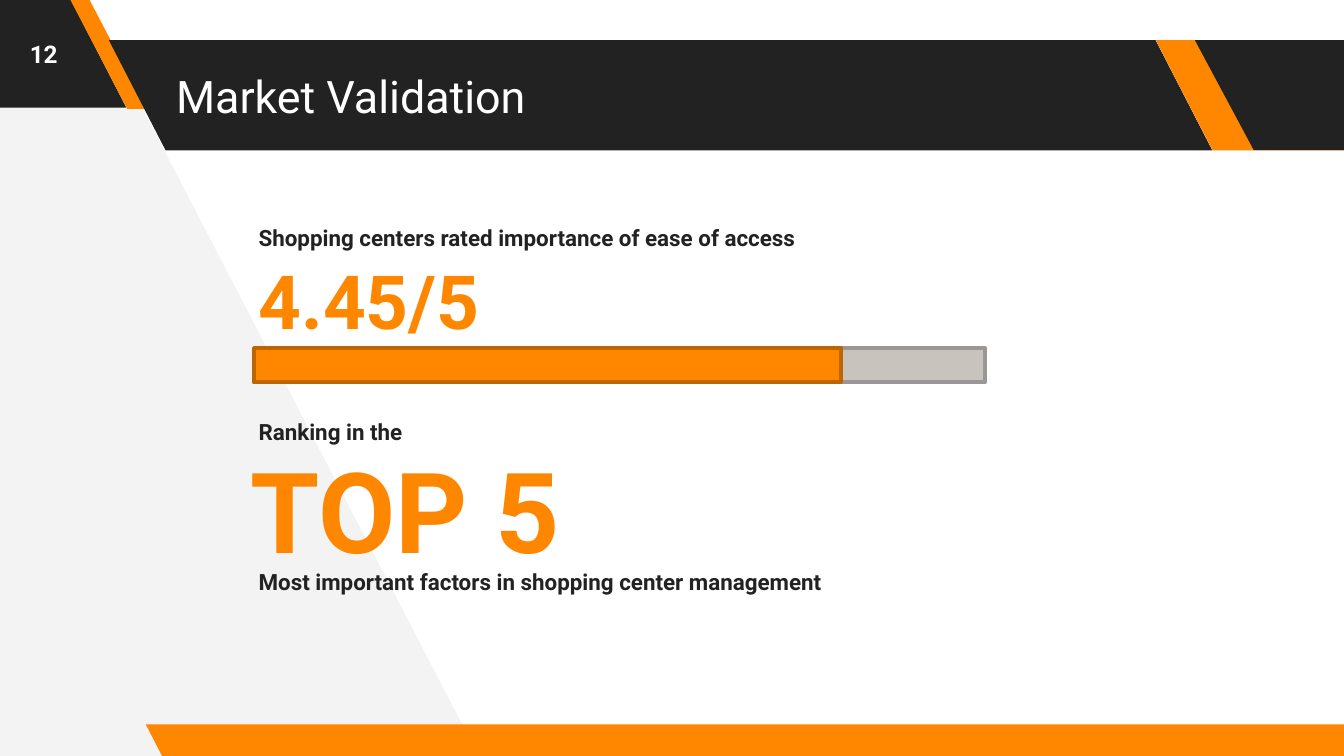
from pptx import Presentation
from pptx.dml.color import RGBColor
from pptx.enum.shapes import MSO_SHAPE as SHAPE
from pptx.enum.text import MSO_ANCHOR as ANCHOR, MSO_AUTO_SIZE as AUTO, PP_ALIGN as ALIGN
from pptx.util import Inches, Pt

COLORS = {"dark": "222222", "orange": "FF8700", "rust": "BF6500", "pale": "F3F3F3",
          "track": "C9C3BD", "edge": "9B9796", "white": "FFFFFF"}
COLS, ROWS = 100, 56.25
CELL = Inches(0.1)
FONT = "Roboto"
RATING = 4.37 / 5.44


def color(name):
    """Return the palette colour with this name."""
    return RGBColor.from_string(COLORS[name])


def inside(box, x, y, w, h):
    """Return a box in grid cells, offset from the corner of its parent."""
    return box[0] + x, box[1] + y, w, h


def emu(box):
    """Convert grid cells to slide lengths."""
    return [round(v * CELL) for v in box]


def paint(s, fill, line=None):
    """Give a shape a flat fill and an optional outline."""
    s.shadow.inherit = False
    s.fill.solid()
    s.fill.fore_color.rgb = color(fill)
    if line:
        s.line.color.rgb = color(line)
        s.line.width = Pt(2)
    else:
        s.line.fill.background()


def add_block(slide, kind, box, fill, line=None, adj=None, rotation=0):
    """Add a painted preset shape."""
    s = slide.shapes.add_shape(kind, *emu(box))
    paint(s, fill, line)
    if adj is not None:
        s.adjustments[0] = adj
    s.rotation = rotation
    return s


def add_slant(slide, box, fill, adj=0.515):
    """Add a parallelogram leaning to the left."""
    s = add_block(slide, SHAPE.PARALLELOGRAM, box, fill, adj=adj)
    s._element.spPr.xfrm.set("flipH", "1")


def write(s, text, size=12, fill="dark", bold=True, align=ALIGN.LEFT, anchor=ANCHOR.MIDDLE):
    """Write one formatted paragraph in a shape."""
    tf = s.text_frame
    tf.word_wrap = True
    tf.auto_size = AUTO.NONE
    tf.vertical_anchor = anchor
    tf.margin_left = tf.margin_right = tf.margin_top = tf.margin_bottom = CELL
    p = tf.paragraphs[0]
    p.alignment = align
    r = p.add_run()
    r.text = text
    r.font.name, r.font.size, r.font.bold = FONT, Pt(size), bold
    r.font.color.rgb = color(fill)


def add_text(slide, box, text, **fmt):
    """Add a text box."""
    write(slide.shapes.add_textbox(*emu(box)), text, **fmt)


def add_backdrop(slide, box):
    """Draw the pale side panel and the footer band."""
    points = [emu(inside(box, x, y, 0, 0)[:2])
              for x, y in ((35.6, ROWS), (6.2, -0.4), (-0.6, -0.4), (-0.2, 56.6))]
    builder = slide.shapes.build_freeform(*points[0])
    builder.add_line_segments(points[1:], close=True)
    paint(builder.convert_to_shape(), "pale")
    add_slant(slide, inside(box, 10.85, 53.9, 91.5, 2.5), "orange")


def add_corner(slide, box, number):
    """Draw the page number in its slanted corner."""
    add_slant(slide, inside(box, -9.85, -0.2, 19.25, 8.2), "dark")
    add_slant(slide, inside(box, 5.2, -0.1, 5.7, 8.2), "orange", adj=0.75)
    add_text(slide, box, number, size=13, fill="white", align=ALIGN.CENTER)


def add_header(slide, box, text):
    """Draw the title band with its orange stripe and dark end."""
    h = box[3]
    add_slant(slide, inside(box, 0, 0, 82.1, h), "dark")
    add_slant(slide, inside(box, 77.9, 0, 19.2, h), "orange")
    title = slide.shapes.title
    slide.shapes._spTree.append(title._element)
    title.left, title.top, title.width, title.height = emu(inside(box, 4, 0, 73.5, h))
    write(title, text, size=24, fill="white", bold=False)
    add_block(slide, SHAPE.ISOSCELES_TRIANGLE, inside(box, 80.8, 0, 9.5, h), "dark",
              adj=0.538, rotation=180)
    add_block(slide, SHAPE.RECTANGLE, inside(box, 85.2, 0, 14, h), "dark")


def add_rating(slide, box, label, value, share):
    """Show a labelled score above a progress bar."""
    add_text(slide, inside(box, 0, 0, box[2], 5.4), label, anchor=ANCHOR.BOTTOM)
    for part, fill, line in ((1, "track", "edge"), (share, "orange", "rust")):
        add_block(slide, SHAPE.RECTANGLE, inside(box, 0.65, 11.6, 54.4 * part, 2.55), fill, line)
    add_text(slide, inside(box, 0, 4.05, 18.5, 7.9), value, size=40, fill="orange")


def add_ranking(slide, box, lead, value, note):
    """Show a large rank between two lines of text."""
    for y, text in ((0, lead), (11.2, note)):
        add_text(slide, inside(box, 0, y, box[2], 5.4), text, anchor=ANCHOR.BOTTOM)
    add_text(slide, inside(box, -0.6, 5.2, 25.7, 7.9), value, size=60, fill="orange")


def main():
    """Build and save the slide."""
    prs = Presentation()
    prs.slide_width, prs.slide_height = emu((COLS, ROWS))
    slide = prs.slides.add_slide(prs.slide_layouts[5])
    add_backdrop(slide, (0, 0, COLS, ROWS))
    add_corner(slide, (0, 0, 6.5, 8), "12")
    add_header(slide, (8.1, 2.98, 91.9, 8.2), "Market Validation")
    add_rating(slide, (18.25, 14.3, 58.1, 14.1),
               "Shopping centers rated importance of ease of access", "4.45/5", RATING)
    add_ranking(slide, (18.25, 28.7, 58.1, 16.6), "Ranking in the", "TOP 5",
                "Most important factors in shopping center management")
    prs.save("out.pptx")


if __name__ == "__main__":
    main()
